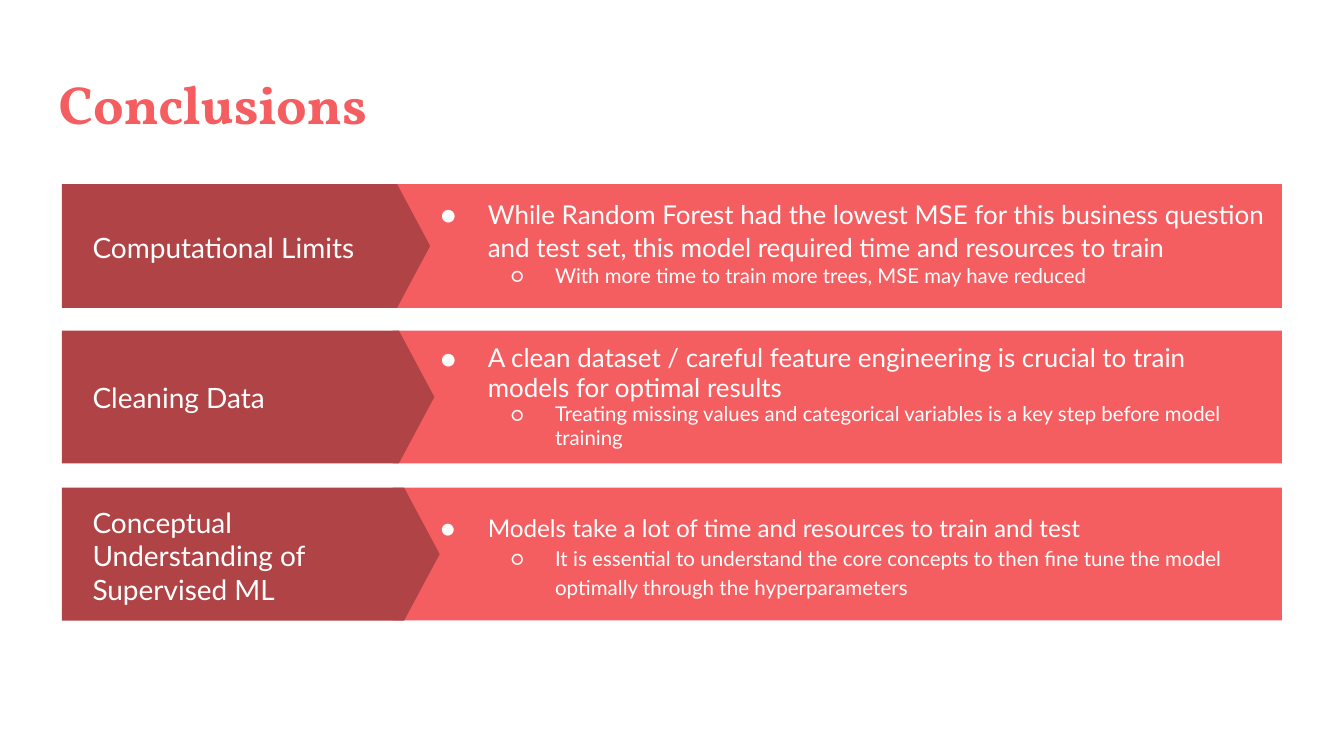
"""Build the Conclusions slide with three labelled takeaways."""
from dataclasses import dataclass

from lxml import etree
from pptx import Presentation
from pptx.dml.color import RGBColor
from pptx.enum.shapes import MSO_SHAPE
from pptx.enum.text import MSO_ANCHOR
from pptx.oxml.ns import qn
from pptx.util import Cm, Pt

RECTANGLE = MSO_SHAPE.RECTANGLE
PENTAGON = MSO_SHAPE.PENTAGON
TOP = MSO_ANCHOR.TOP
MIDDLE = MSO_ANCHOR.MIDDLE


@dataclass(frozen=True)
class Theme:
    """Colours, fonts and type sizes of the slide."""

    coral: str = "F55E61"
    maroon: str = "AF4345"
    white: str = "FFFFFF"
    title_font: str = "Vollkorn"
    body_font: str = "Lato"
    title_size: float = 28.8
    label_size: float = 15


@dataclass(frozen=True)
class Takeaway:
    """One row: its wording, its type and its measures in centimetres."""

    label: str
    point: str
    detail: str
    top: float
    height: float
    arrow_width: float
    label_box: tuple
    body_size: tuple
    point_size: float
    detail_size: float
    line_spacing: float


THEME = Theme()
BAND_LEFT, BAND_WIDTH = 7.42, 16.81
ARROW_LEFT, ARROW_POINT = 1.17, 0.267
LABEL_LEFT, BODY_LEFT = 1.5, 7.7
INSET = 0.25

TAKEAWAYS = (
    Takeaway(
        "Computational Limits",
        "While Random Forest had the lowest MSE for this business question "
        "and test set, this model required time and resources to train",
        "With more time to train more trees, MSE may have reduced",
        3.48, 2.34, 6.96, (3.48, 6.73, 2.39), (16.51, 2.21), 13.9, 10.9, 1.05,
    ),
    Takeaway(
        "Cleaning Data",
        "A clean dataset / careful feature engineering is crucial to train "
        "models for optimal results",
        "Treating missing values and categorical variables is a key step "
        "before model training",
        6.25, 2.51, 7.04, (6.25, 6.73, 2.51), (16.15, 2.51), 13.9, 10.9, 0.95,
    ),
    Takeaway(
        "Conceptual Understanding of Supervised ML",
        "Models take a lot of time and resources to train and test",
        "It is essential to understand the core concepts to then fine tune "
        "the model optimally through the hyperparameters",
        9.22, 2.51, 7.14, (9.4, 6.45, 2.21), (16.15, 2.51), 13, 11, 1.15,
    ),
)


def add_block(slide, kind, left, top, width, height, color):
    """Add a filled shape without outline or shadow."""
    shape = slide.shapes.add_shape(kind, Cm(left), Cm(top), Cm(width), Cm(height))
    shape.shadow.inherit = False
    shape.fill.solid()
    shape.fill.fore_color.rgb = RGBColor.from_string(color)
    shape.line.fill.background()
    return shape


def add_text_frame(slide, left, top, width, height, anchor=MIDDLE):
    """Add a wrapping text box and return its text frame."""
    box = slide.shapes.add_textbox(Cm(left), Cm(top), Cm(width), Cm(height))
    frame = box.text_frame
    frame.word_wrap = True
    frame.vertical_anchor = anchor
    frame.margin_left = frame.margin_right = Cm(INSET)
    frame.margin_top = frame.margin_bottom = Cm(INSET)
    return frame


def add_run(paragraph, text, size, color=THEME.white, font=THEME.body_font, bold=False):
    """Add one formatted run to a paragraph."""
    run = paragraph.add_run()
    run.text = text
    run.font.name = font
    run.font.size = Pt(size)
    run.font.bold = bold
    run.font.color.rgb = RGBColor.from_string(color)


def set_bullet(paragraph, character, margin, hanging):
    """Give a paragraph a white bullet and a hanging indent."""
    properties = paragraph._p.get_or_add_pPr()
    properties.set("marL", str(Cm(margin)))
    properties.set("indent", str(-Cm(hanging)))
    color = etree.SubElement(properties, qn("a:buClr"))
    etree.SubElement(color, qn("a:srgbClr"), val=THEME.white)
    etree.SubElement(properties, qn("a:buFont"), typeface=THEME.body_font)
    etree.SubElement(properties, qn("a:buChar"), char=character)


def add_title(slide, text):
    """Add the slide heading."""
    frame = add_text_frame(slide, 0.86, 1.09, 23.67, 1.73, TOP)
    add_run(frame.paragraphs[0], text, THEME.title_size, THEME.coral, THEME.title_font, True)


def add_body(slide, takeaway):
    """Add the point and its detail as two bullet levels."""
    frame = add_text_frame(slide, BODY_LEFT, takeaway.top, *takeaway.body_size)
    point = frame.paragraphs[0]
    detail = frame.add_paragraph()
    detail.level = 1
    set_bullet(point, "●", 1.27, 0.89)
    set_bullet(detail, "○", 2.54, 0.84)
    add_run(point, takeaway.point, takeaway.point_size)
    add_run(detail, takeaway.detail, takeaway.detail_size)
    for paragraph in frame.paragraphs:
        paragraph.line_spacing = takeaway.line_spacing


def add_takeaway(slide, takeaway):
    """Add a band, its arrow label and its bullets."""
    top, height = takeaway.top, takeaway.height
    add_block(slide, RECTANGLE, BAND_LEFT, top, BAND_WIDTH, height, THEME.coral)
    arrow = add_block(slide, PENTAGON, ARROW_LEFT, top, takeaway.arrow_width, height, THEME.maroon)
    arrow.adjustments[0] = ARROW_POINT
    label = add_text_frame(slide, LABEL_LEFT, *takeaway.label_box)
    add_run(label.paragraphs[0], takeaway.label, THEME.label_size)
    add_body(slide, takeaway)


def main():
    """Build and save the presentation."""
    presentation = Presentation()
    presentation.slide_width = Cm(25.4)
    presentation.slide_height = Cm(14.29)
    slide = presentation.slides.add_slide(presentation.slide_layouts[6])
    add_title(slide, "Conclusions")
    for takeaway in TAKEAWAYS:
        add_takeaway(slide, takeaway)
    presentation.save("out.pptx")


if __name__ == "__main__":
    main()
